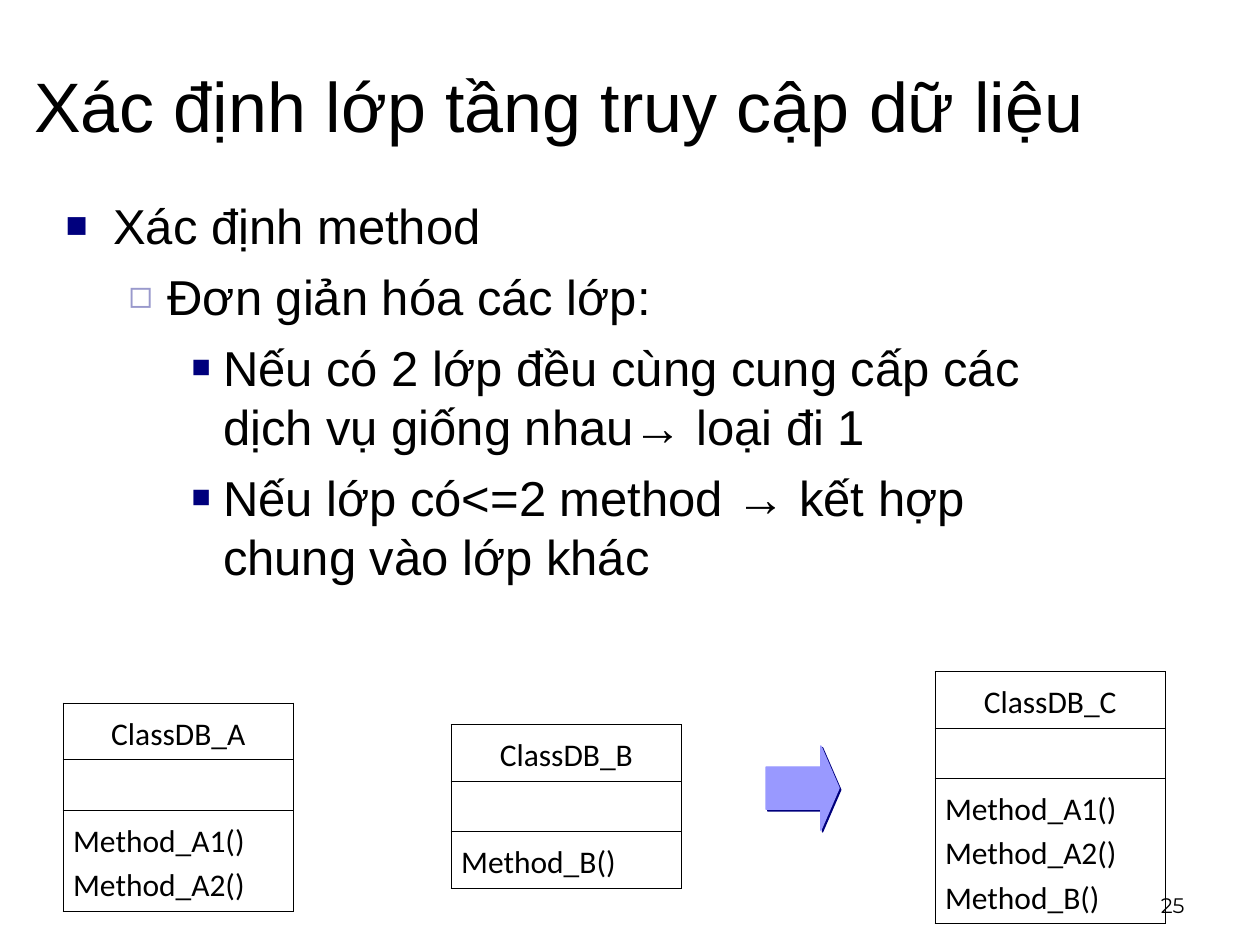
from lxml import etree
from pptx import Presentation
from pptx import oxml
from pptx import util as u
from pptx.dml.color import RGBColor
from pptx.enum import shapes, text
from pptx.oxml import ns

Inches, Pt = u.Inches, u.Pt
ALIGN = text.PP_ALIGN


def paint(color, value):
    color.rgb = RGBColor.from_string(value)


def write(frame, words, size=28, font="Arial", color="000000", align=ALIGN.LEFT,
          before=0, spacing=1.0, first=True):
    para = frame.paragraphs[0] if first else frame.add_paragraph()
    para.alignment = align
    para.space_before = Pt(0 if first else before)
    para.line_spacing = spacing
    span = para.add_run()
    span.text = words
    span.font.size = Pt(size)
    span.font.name = font
    paint(span.font.color, color)
    return para


deck = Presentation()
deck.slide_width, deck.slide_height = Inches(10), Inches(7.5)
page = deck.slides.add_slide(deck.slide_layouts[1])
title, body = page.placeholders

number = page.shapes.add_textbox(Inches(7.17), Inches(6.83), Inches(2.33), Inches(0.5))
number.text_frame.word_wrap = True
number.text_frame.vertical_anchor = text.MSO_ANCHOR.BOTTOM
write(number.text_frame, "25", size=12, font="Montserrat", align=ALIGN.RIGHT)

title.left, title.top = Inches(0.17), Inches(0.08)
title.width, title.height = Inches(10), Inches(1.5)
title.text_frame.auto_size = text.MSO_AUTO_SIZE.NONE
title.text_frame.vertical_anchor = text.MSO_ANCHOR.MIDDLE
write(title.text_frame, "Xác định lớp tầng truy cập dữ liệu", size=40)

body.left, body.top = Inches(0.42), Inches(1.5)
body.width, body.height = Inches(8.5), Inches(5.25)
body.text_frame.auto_size = text.MSO_AUTO_SIZE.NONE
levels = [
    (0.38, 0.38, "■", "00007D", 75),
    (0.81, 0.31, "◻", "9999CC", 80),
    (1.25, 0.25, "■", "00007D", 65),
]
points = [
    (0, "Xác định method"),
    (1, "Đơn giản hóa các lớp:"),
    (2, "Nếu có 2 lớp đều cùng cung cấp các dịch vụ giống nhau→ loại đi 1"),
    (2, "Nếu lớp có<=2 method → kết hợp chung vào lớp khác"),
]
for index, (level, words) in enumerate(points):
    margin, hanging, mark, color, percent = levels[level]
    para = write(body.text_frame, words, before=7, first=index == 0)
    para.level = level
    props = para._p.get_or_add_pPr()
    props.set("marL", str(Inches(margin)))
    props.set("indent", str(-Inches(hanging)))
    bullet_color = etree.SubElement(props, ns.qn("a:buClr"))
    etree.SubElement(bullet_color, ns.qn("a:srgbClr"), val=color)
    etree.SubElement(props, ns.qn("a:buSzPct"), val=str(percent * 1000))
    etree.SubElement(props, ns.qn("a:buChar"), char=mark)

classes = [
    (0.5, 5.58, "ClassDB_A", ["Method_A1()", "Method_A2()"]),
    (3.58, 5.75, "ClassDB_B", ["Method_B()"]),
    (7.42, 5.33, "ClassDB_C", ["Method_A1()", "Method_A2()", "Method_B()"]),
]
for left, top, name, methods in classes:
    heights = [0.45, 0.38, 0.1 + 0.35 * len(methods)]
    frame = page.shapes.add_table(3, 1, Inches(left), Inches(top),
                                  Inches(1.83), Inches(sum(heights)))
    table = frame.table
    table.first_row = table.horz_banding = False
    for row, height, lines in zip(table.rows, heights, [[name], [""], methods]):
        row.height = Inches(height)
        cell = row.cells[0]
        cell.margin_left = cell.margin_right = Inches(0.08)
        cell.fill.background()
        for index, line in enumerate(lines):
            write(cell.text_frame, line, size=18, font="Calibri" if line else "Arial",
                  align=ALIGN.CENTER if line == name else ALIGN.LEFT,
                  spacing=1.15 if line else 1.0, first=index == 0)
        for index, side in enumerate(["lnL", "lnR", "lnT", "lnB"]):
            border = oxml.parse_xml(
                f'<a:{side} {ns.nsdecls("a")} w="{Pt(0.45)}"><a:solidFill>'
                f'<a:srgbClr val="000000"/></a:solidFill></a:{side}>')
            cell._tc.get_or_add_tcPr().insert(index, border)

arrow = page.shapes.add_shape(shapes.MSO_SHAPE.RIGHT_ARROW, Inches(6.08), Inches(5.92),
                              Inches(0.58), Inches(0.67))
arrow.adjustments[0], arrow.adjustments[1] = 0.5, 0.25
arrow.fill.solid()
paint(arrow.fill.fore_color, "9999FF")
paint(arrow.line.color, "9999FF")
arrow.line.width = Pt(0.75)
arrow.shadow.inherit = False
effects = arrow._element.spPr.find(ns.qn("a:effectLst"))
shadow = etree.SubElement(effects, ns.qn("a:outerShdw"), dist=str(Pt(1.4)),
                          dir="2700000", algn="ctr", rotWithShape="0")
etree.SubElement(shadow, ns.qn("a:srgbClr"), val="00007D")

deck.save("out.pptx")
